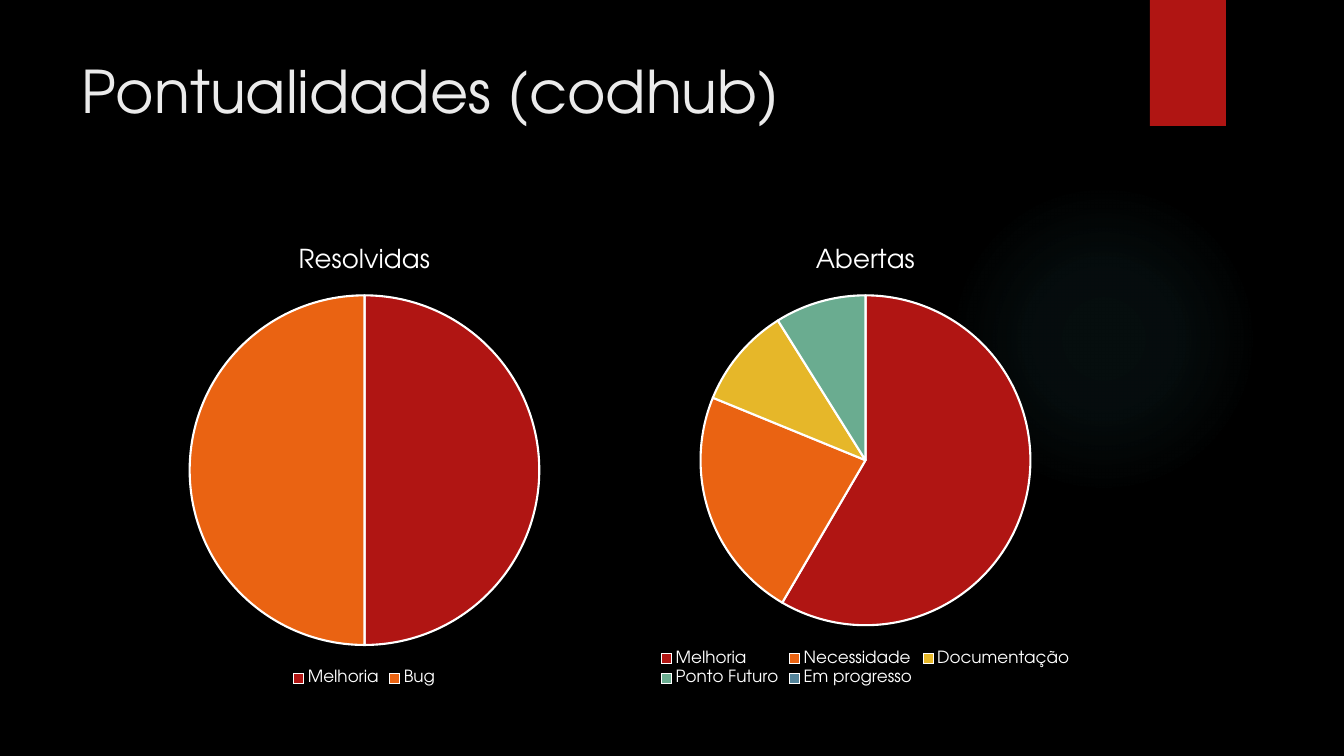
from lxml import etree
from pptx import Presentation
from pptx.chart.data import CategoryChartData
from pptx.dml.color import RGBColor
from pptx.enum.chart import XL_CHART_TYPE, XL_LEGEND_POSITION
from pptx.enum.shapes import MSO_SHAPE
from pptx.enum.text import MSO_ANCHOR
from pptx.oxml import parse_xml
from pptx.oxml.ns import nsdecls, qn
from pptx.util import Pt

FONT = "TeX Gyre Adventor"
SCALE = 914400 / 100.8
COLORS = ["B01513", "EA6312", "E6B729", "6AAC90", "54849A"]


def px(*sizes):
    return [round(size * SCALE) for size in sizes]


def paint(font, size, color):
    font.name = FONT
    font.size = Pt(size)
    font.bold = False
    font.color.rgb = RGBColor.from_string(color)


deck = Presentation()
deck.slide_width, deck.slide_height = px(1344, 756)
slide = deck.slides.add_slide(deck.slide_layouts[6])
back = slide.background.fill
back.solid()
back.fore_color.rgb = RGBColor.from_string("000000")

glow = slide.shapes.add_shape(MSO_SHAPE.OVAL, *px(949, 184, 310, 310))
glow.shadow.inherit = False
glow.line.fill.background()
glow.fill.background()
grad = parse_xml(
    f'<a:gradFill {nsdecls("a")}><a:gsLst/><a:path path="circle">'
    '<a:fillToRect l="50000" t="50000" r="50000" b="50000"/></a:path></a:gradFill>'
)
for stop, alpha in [(0, 7), (36, 6), (69, 0)]:
    mark = etree.SubElement(grad[0], qn("a:gs"), pos=str(stop * 1000))
    tone = etree.SubElement(mark, qn("a:srgbClr"), val="50B9C1")
    etree.SubElement(tone, qn("a:alpha"), val=str(alpha * 1000))
props = glow.element.spPr
props.replace(props.find(qn("a:noFill")), grad)

tab = slide.shapes.add_shape(MSO_SHAPE.RECTANGLE, *px(1150, 0, 76, 126))
tab.shadow.inherit = False
tab.fill.solid()
tab.fill.fore_color.rgb = RGBColor.from_string(COLORS[0])
tab.line.fill.background()

title = slide.shapes.add_textbox(*px(72, 50, 1037, 154))
frame = title.text_frame
frame.word_wrap = True
frame.vertical_anchor = MSO_ANCHOR.TOP
frame.text = "Pontualidades (codhub)"
paint(frame.paragraphs[0].runs[0].font, 42, "EBEBEB")

pies = [
    (122, "Resolvidas", ["Melhoria", "Bug"], [50, 50]),
    (
        623,
        "Abertas",
        ["Melhoria", "Necessidade", "Documentação", "Ponto Futuro", "Em progresso"],
        [59, 23, 10, 9, None],
    ),
]
for left, name, labels, values in pies:
    data = CategoryChartData()
    data.categories = labels
    data.add_series(name, values)
    chart = slide.shapes.add_chart(
        XL_CHART_TYPE.PIE, *px(left, 227, 485, 463), data
    ).chart
    paint(chart.font, 10, "FFFFFF")
    chart.has_title = True
    head = chart.chart_title.text_frame
    head.text = name
    paint(head.paragraphs[0].runs[0].font, 18.6, "FFFFFF")
    chart.has_legend = True
    chart.legend.position = XL_LEGEND_POSITION.BOTTOM
    chart.legend.include_in_layout = False
    paint(chart.legend.font, 12, "FFFFFF")
    plot = chart.plots[0]
    plot.vary_by_categories = True
    for index, color in enumerate(COLORS[:len(labels)]):
        slice = plot.series[0].points[index].format
        slice.fill.solid()
        slice.fill.fore_color.rgb = RGBColor.from_string(color)
        slice.line.color.rgb = RGBColor.from_string("FFFFFF")
        slice.line.width = Pt(1.5)

deck.save("out.pptx")
